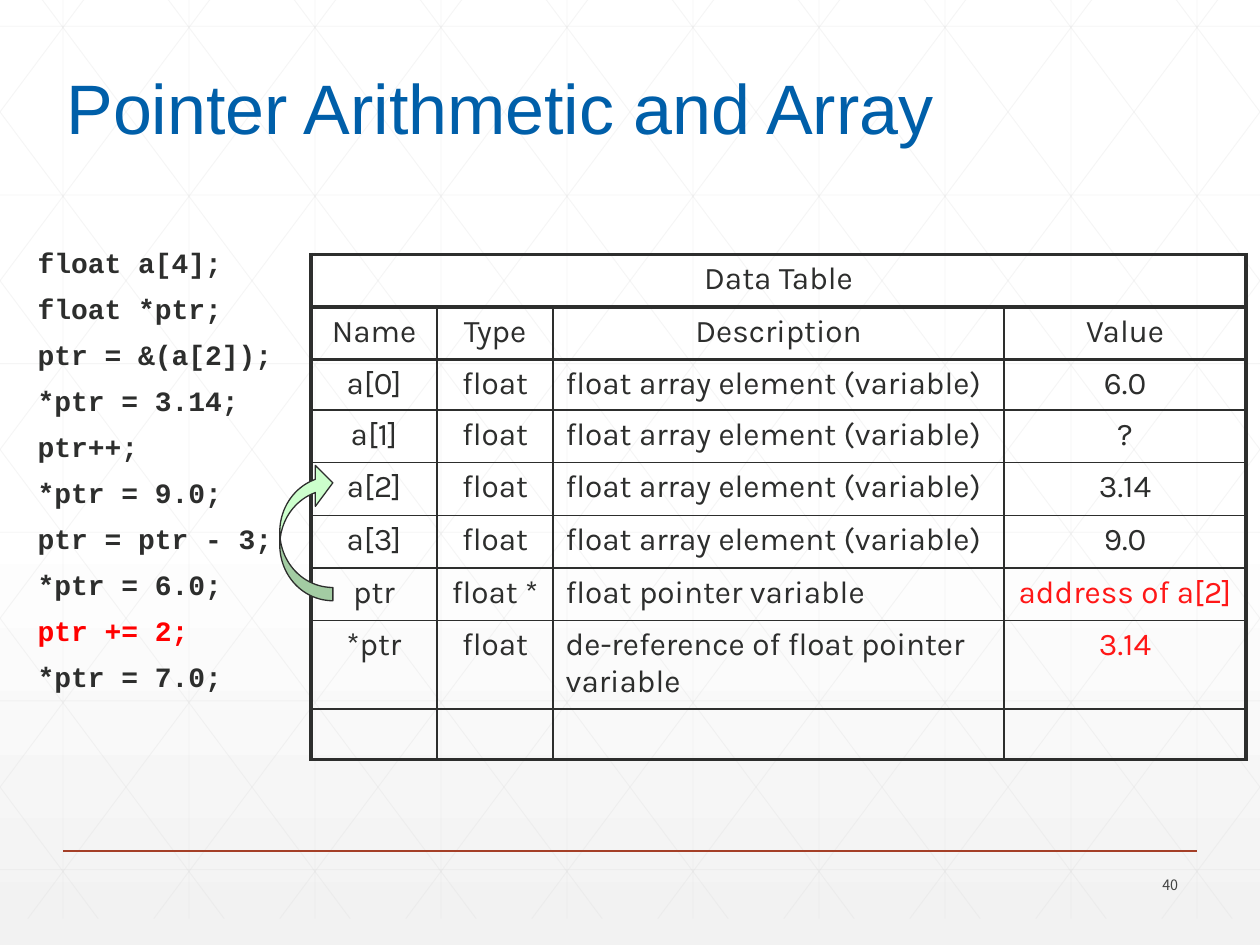
"""Build the slide on pointer arithmetic and arrays."""
from copy import deepcopy
from dataclasses import dataclass

from lxml import etree
from pptx import Presentation
from pptx import util as u
from pptx.dml.color import RGBColor
from pptx.enum import shapes, text
from pptx.oxml.ns import qn


@dataclass(frozen=True)
class Theme:
    """Colours, fonts and type sizes."""
    white: str = "FFFFFF"
    shade: str = "F2F2F2"
    grid: str = "D9D9D9"
    rule: str = "A43F27"
    ink: str = "2D2E2D"
    title: str = "005FA9"
    number: str = "424342"
    code_mark: str = "FF0000"
    value_mark: str = "FF1717"
    arrow: str = "CCFFCC"
    title_font: str = "Arial"
    code_font: str = "Courier New"
    table_font: str = "Karla"
    number_font: str = "Noto Sans CJK TC"
    title_size: float = 40
    code_size: float = 16
    table_size: float = 18
    number_size: float = 8.2
    thick: float = 2.25
    thin: float = 1


T = Theme()
WIDTH, HEIGHT = 25.4, 19.05
CODE = ["float a[4];", "float *ptr;", "ptr = &(a[2]);", "*ptr = 3.14;",
        "ptr++;", "*ptr = 9.0;", "ptr = ptr - 3;", "*ptr = 6.0;",
        "ptr += 2;", "*ptr = 7.0;"]
MARKED_CODE = "ptr += 2;"
ELEMENT = "float array element (variable)"
ROWS = [
    ["Data Table", "", "", ""],
    ["Name", "Type", "Description", "Value"],
    ["a[0]", "float", ELEMENT, "6.0"],
    ["a[1]", "float", ELEMENT, "?"],
    ["a[2]", "float", ELEMENT, "3.14"],
    ["a[3]", "float", ELEMENT, "9.0"],
    ["ptr", "float *", "float pointer variable", "address of a[2]"],
    ["*ptr", "float", "de-reference of float pointer variable", "3.14"],
    ["", "", "", ""],
]
MARKED_CELLS = {(6, 3), (7, 3)}
COL_WIDTHS = [2.54, 2.34, 9.09, 4.88]
ROW_HEIGHTS = [1.06, 1.06, 1.01, 1.06, 1.06, 1.06, 1.06, 1.79, 1.01]


def rgb(value):
    """Turn a hex string into a colour."""
    return RGBColor.from_string(value)


def style(p, font, size, color, bold=False):
    """Set the font of a paragraph."""
    f = p.font
    f.name, f.size, f.bold = font, u.Pt(size), bold
    f.color.rgb = rgb(color)


def add_background(s):
    """Fill the background with white fading to grey."""
    fill = s.background.fill
    fill.gradient()
    fill.gradient_angle = 270
    for stop, color in zip(fill.gradient_stops, (T.white, T.shade)):
        stop.color.rgb = rgb(color)
    stops = s.element.find(".//" + qn("a:gsLst"))
    middle = deepcopy(stops[0])
    stops[0].set("pos", "0")
    middle.set("pos", "53000")
    stops[-1].set("pos", "100000")
    stops.insert(1, middle)


def add_line(holder, x1, y1, x2, y2, color, width, alpha=None):
    """Draw a straight line, optionally see-through."""
    line = holder.add_connector(shapes.MSO_CONNECTOR.STRAIGHT,
                                u.Cm(x1), u.Cm(y1), u.Cm(x2), u.Cm(y2))
    line.line.color.rgb = rgb(color)
    line.line.width = u.Pt(width)
    props = line.element.spPr
    etree.SubElement(props, qn("a:effectLst"))
    if alpha:
        clr = props.find(".//" + qn("a:srgbClr"))
        etree.SubElement(clr, qn("a:alpha")).set("val", str(alpha * 1000))


def add_grid(s):
    """Draw the faint lattice of straight and slanted lines."""
    holder = s.shapes.add_group_shape().shapes
    top, bottom, step, run = -0.53, 18.52, 2.54, 14.22
    slope = (bottom - top) / run
    ends = [(1.27 + step * i, top, 1.27 + step * i, bottom) for i in range(10)]
    ends += [(0, 0.53 + 3.4 * i, WIDTH, 0.53 + 3.4 * i) for i in range(6)]
    for i in range(-5, 10):
        start = 0.46 + step * i
        x1, x2 = max(start, 0), min(start + run, WIDTH)
        y1, y2 = (top + (x - start) * slope for x in (x1, x2))
        ends += [(x1, y1, x2, y2), (WIDTH - x1, y1, WIDTH - x2, y2)]
    for end in ends:
        add_line(holder, *end, T.grid, 0.5, alpha=25)


def add_text(s, box, lines, wrap=True):
    """Add a text box and return its paragraphs."""
    tf = s.shapes.add_textbox(*map(u.Cm, box)).text_frame
    tf.word_wrap = wrap
    tf.text = "\n".join(lines)
    return tf.paragraphs


def add_code(s):
    """Add the code listing with one marked line."""
    for i, p in enumerate(add_text(s, (0.51, 4.9, 5.72, 11.43), CODE)):
        props = p._p.get_or_add_pPr()
        props.set("marL", str(u.Cm(0.48)))
        props.set("indent", str(u.Cm(-0.48)))
        p.line_spacing = 0.9
        if i:
            p.space_before = u.Pt(9)
        color = T.code_mark if p.text == MARKED_CODE else T.ink
        style(p, T.code_font, T.code_size, color, bold=True)


def set_borders(cell, thick_sides):
    """Draw four cell borders, thick on the given sides."""
    props = cell._tc.get_or_add_tcPr()
    for side in "LRTB":
        width = T.thick if side in thick_sides else T.thin
        ln = etree.SubElement(props, qn("a:ln" + side), w=str(u.Pt(width)))
        fill = etree.SubElement(ln, qn("a:solidFill"))
        etree.SubElement(fill, qn("a:srgbClr"), val=T.ink)


def add_data_table(s):
    """Add the table of variables and their values."""
    n_rows, n_cols = len(ROWS), len(COL_WIDTHS)
    table = s.shapes.add_table(
        n_rows, n_cols, u.Cm(6.27), u.Cm(5.13),
        u.Cm(sum(COL_WIDTHS)), u.Cm(sum(ROW_HEIGHTS))).table
    table.first_row = table.horz_banding = False
    for col, width in zip(table.columns, COL_WIDTHS):
        col.width = u.Cm(width)
    for row, height in zip(table.rows, ROW_HEIGHTS):
        row.height = u.Cm(height)
    for r, values in enumerate(ROWS):
        for c, value in enumerate(values):
            cell = table.cell(r, c)
            cell.text = value
            p = cell.text_frame.paragraphs[0]
            if r < 2 or c != 2:
                p.alignment = text.PP_ALIGN.CENTER
            color = T.value_mark if (r, c) in MARKED_CELLS else T.ink
            style(p, T.table_font, T.table_size, color)
            thick = {"L": r == 0 or c == 0, "R": r == 0 or c == n_cols - 1,
                     "T": r <= 2, "B": r < 2 or r == n_rows - 1}
            set_borders(cell, [side for side in thick if thick[side]])
            cell.fill.background()
    table.cell(0, 0).merge(table.cell(0, n_cols - 1))


def add_arrow(s):
    """Add the curved arrow from ptr to a[2]."""
    sp = s.shapes.add_shape(shapes.MSO_SHAPE.CURVED_LEFT_ARROW,
                            u.Cm(5.64), u.Cm(9.32), u.Cm(1.07), u.Cm(2.79))
    sp.rotation = 180
    for i, value in enumerate((0.25, 0.77, 0.33)):
        sp.adjustments[i] = value
    sp.shadow.inherit = False
    sp.fill.solid()
    sp.fill.fore_color.rgb = rgb(T.arrow)
    sp.line.color.rgb = rgb(T.ink)
    sp.line.width = u.Pt(0.75)


def main():
    """Build and save the slide."""
    prs = Presentation()
    prs.slide_width, prs.slide_height = u.Cm(WIDTH), u.Cm(HEIGHT)
    s = prs.slides.add_slide(prs.slide_layouts[6])
    add_background(s)
    add_grid(s)
    add_line(s.shapes, 1.27, 17.15, 24.13, 17.15, T.rule, 1)
    number = add_text(s, (22.1, 17.53, 1.9, 0.61), ["40"])[0]
    number.alignment = text.PP_ALIGN.RIGHT
    style(number, T.number_font, T.number_size, T.number)
    title = add_text(s, (1.09, 1.17, 18.19, 1.96),
                     ["Pointer Arithmetic and Array"], wrap=False)[0]
    style(title, T.title_font, T.title_size, T.title)
    add_code(s)
    add_data_table(s)
    add_arrow(s)
    prs.save("out.pptx")


if __name__ == "__main__":
    main()
